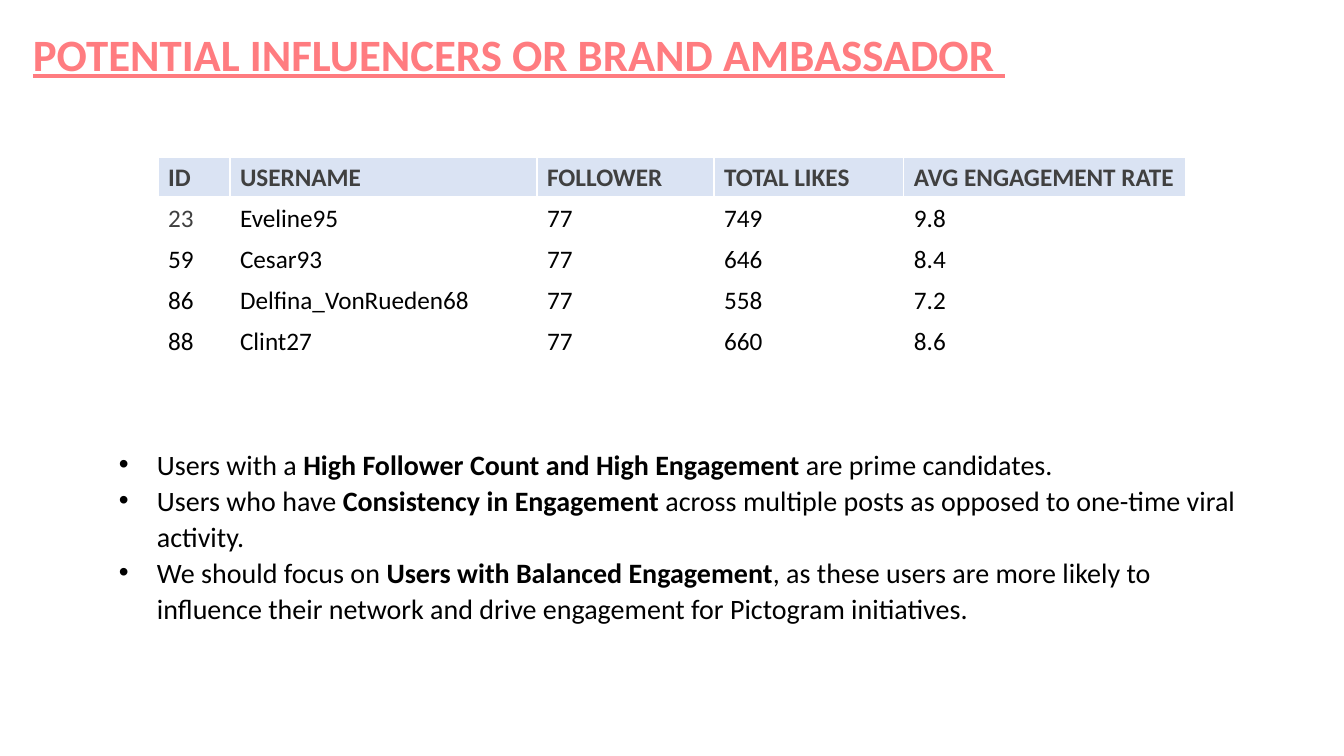
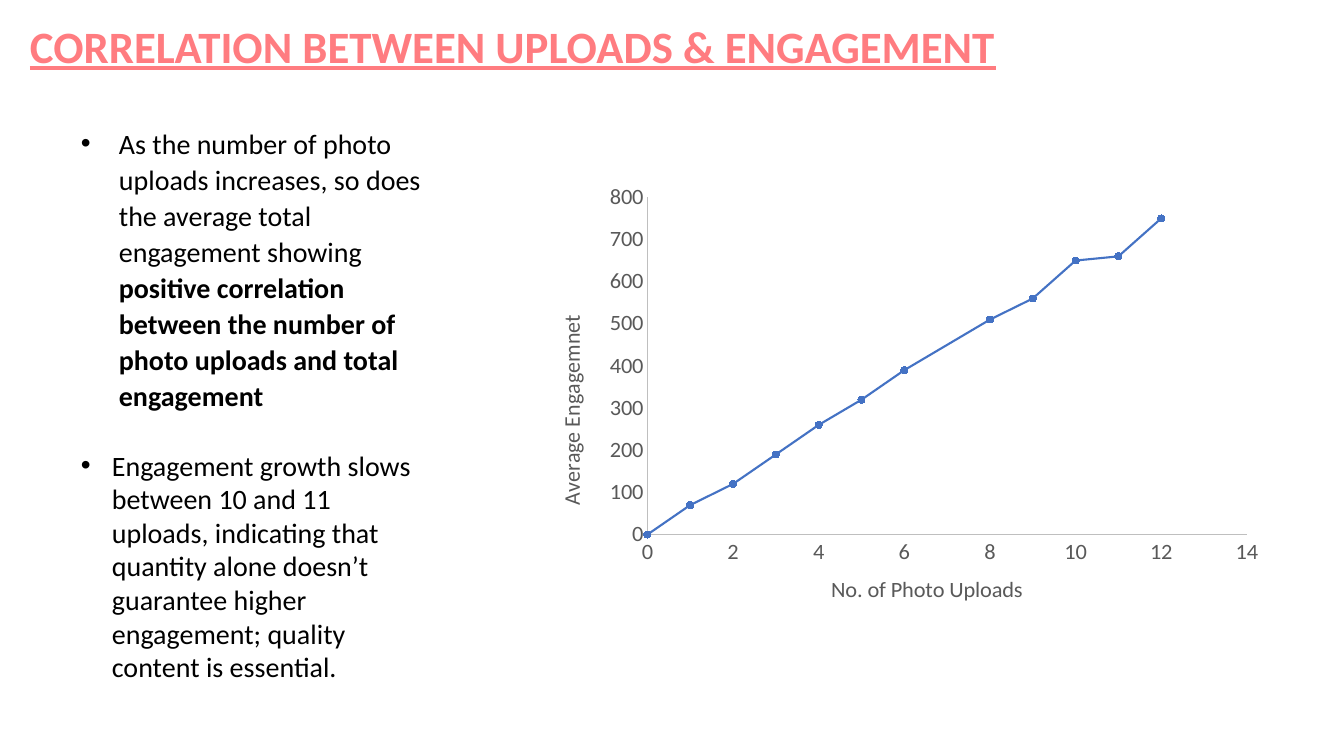
"""Build two slides on influencer candidates and on uploads against engagement."""
import dataclasses
import typing

import lxml.etree
import pptx
import pptx.chart.data
import pptx.dml.color
import pptx.enum.chart
import pptx.enum.dml
import pptx.enum.text
import pptx.oxml
import pptx.oxml.ns
import pptx.util

EMU_PER_PX = 914400 / 100.8
FONT = "Calibri"
COLORS = {
    "title": "FF7C80",
    "body": "000000",
    "header": "404040",
    "header_fill": "DAE3F3",
    "border": "FFFFFF",
    "axis_text": "595959",
    "axis_line": "BFBFBF",
    "series": "4472C4",
}
TITLE_FORMAT = {"size": 32, "color": "title", "bold": True, "underline": True}
BODY_FORMAT = {"size": 20, "color": "body"}
CELL_FORMAT = {"size": 18, "color": "body", "bold": False}
HEADER_FORMAT = {"size": 18, "color": "header", "bold": True}
AXIS_FORMAT = {"size": 16, "color": "axis_text", "bold": False}

CANDIDATE_COLUMNS = (72, 307, 177, 190, 282)
CANDIDATE_ROW_HEIGHT = 41
CANDIDATES = (
    ("ID", "USERNAME", "FOLLOWER", "TOTAL LIKES", "AVG ENGAGEMENT RATE"),
    ("23", "Eveline95", "77", "749", "9.8"),
    ("59", "Cesar93", "77", "646", "8.4"),
    ("86", "Delfina_VonRueden68", "77", "558", "7.2"),
    ("88", "Clint27", "77", "660", "8.6"),
)
ENGAGEMENT_BY_UPLOADS = {
    0: 0, 1: 70, 2: 120, 3: 190, 4: 260, 5: 320,
    6: 390, 8: 510, 9: 560, 10: 650, 11: 660, 12: 750,
}


@dataclasses.dataclass(frozen=True)
class Area:
    """Hold a rectangle in px."""
    left: int
    top: int
    width: int
    height: int

    def emu(self) -> tuple[int, ...]:
        """Return the rectangle in EMU."""
        return tuple(px(length) for length in dataclasses.astuple(self))


@dataclasses.dataclass(frozen=True)
class Span:
    """Hold a run of text."""
    text: str
    bold: bool = False


@dataclasses.dataclass(frozen=True)
class Bullet:
    """Hold a bulleted paragraph."""
    spans: tuple[Span, ...]
    indent: int = 38
    line_spacing: float = 1.07
    space_before: int = 0


@dataclasses.dataclass(frozen=True)
class AxisStyle:
    """Hold the title, its place in the chart and the scale of an axis."""
    title: str
    title_left: float
    title_top: float
    maximum: int
    step: int


CANDIDATE_NOTES = (
    Bullet((
        Span("Users with a "),
        Span("High Follower Count and High Engagement", True),
        Span(" are prime candidates."),
    )),
    Bullet((
        Span("Users who have "),
        Span("Consistency in Engagement ", True),
        Span("across multiple posts as opposed to one-time viral activity."),
    )),
    Bullet((
        Span("We should focus on "),
        Span("Users with Balanced Engagement", True),
        Span(", as these users are more likely to influence their network "
             "and drive engagement for Pictogram initiatives."),
    )),
)
CORRELATION_NOTES = (
    Bullet((
        Span("As the number of photo uploads increases, so does the average "
             "total engagement showing "),
        Span("positive correlation between the number of photo uploads and "
             "total engagement", True),
    )),
    Bullet(
        (Span("Engagement growth slows between 10 and 11 uploads, indicating "
              "that quantity alone doesn’t guarantee higher engagement; "
              "quality content is essential."),),
        indent=31, line_spacing=1.0, space_before=26,
    ),
)
UPLOADS_AXIS = AxisStyle("No. of Photo Uploads", 0.4, 0.93, 14, 2)
ENGAGEMENT_AXIS = AxisStyle("Average Engagemnet", 0.03, 0.34, 800, 100)


def px(length: int) -> int:
    """Turn px into EMU."""
    return round(length * EMU_PER_PX)


def rgb(color: str) -> pptx.dml.color.RGBColor:
    """Look up a named colour."""
    return pptx.dml.color.RGBColor.from_string(COLORS[color])


def style_font(font: typing.Any, values: dict[str, typing.Any]) -> None:
    """Apply format values to a font."""
    font.name = FONT
    for name, value in values.items():
        if name == "color":
            font.color.rgb = rgb(value)
        else:
            setattr(font, name, pptx.util.Pt(value) if name == "size" else value)


def add_span(para: typing.Any, text: str, values: dict[str, typing.Any]) -> None:
    """Add a formatted run to a paragraph."""
    span = para.add_run()
    span.text = text
    style_font(span.font, values)


def add_box(page: typing.Any, area: Area) -> typing.Any:
    """Add a wrapping text box and return its text frame."""
    frame = page.shapes.add_textbox(*area.emu()).text_frame
    frame.word_wrap = True
    frame.auto_size = pptx.enum.text.MSO_AUTO_SIZE.SHAPE_TO_FIT_TEXT
    return frame


def add_page(deck: typing.Any, title: str, left: int, top: int) -> typing.Any:
    """Add a blank slide with the shared title style."""
    page = deck.slides.add_slide(deck.slide_layouts[6])
    frame = add_box(page, Area(left, top, 1255, 65))
    add_span(frame.paragraphs[0], title, TITLE_FORMAT)
    return page


def add_bullets(page: typing.Any, area: Area, bullets: tuple[Bullet, ...]) -> None:
    """Add a bulleted list."""
    frame = add_box(page, area)
    for index, bullet in enumerate(bullets):
        para = frame.add_paragraph() if index else frame.paragraphs[0]
        para.line_spacing = bullet.line_spacing
        para.space_before = pptx.util.Pt(bullet.space_before)
        properties = para._p.get_or_add_pPr()
        properties.set("marL", str(px(bullet.indent)))
        properties.set("indent", str(-px(bullet.indent)))
        for tag, name, value in (("a:buFont", "typeface", "Arial"),
                                 ("a:buChar", "char", "•")):
            mark = lxml.etree.SubElement(properties, pptx.oxml.ns.qn(tag))
            mark.set(name, value)
        for span in bullet.spans:
            add_span(para, span.text, BODY_FORMAT | {"bold": span.bold})


def set_borders(cell: typing.Any, bottom: int) -> None:
    """Draw the four borders of a cell, given the bottom width in points."""
    properties = cell._tc.get_or_add_tcPr()
    widths = {"lnL": 1, "lnR": 1, "lnT": 1, "lnB": bottom}
    for index, (side, width) in enumerate(widths.items()):
        properties.insert(index, pptx.oxml.parse_xml(
            f'<a:{side} {pptx.oxml.ns.nsdecls("a")} w="{pptx.util.Pt(width)}">'
            f'<a:solidFill><a:srgbClr val="{COLORS["border"]}"/></a:solidFill>'
            f'</a:{side}>'))


def add_candidates(page: typing.Any, left: int, top: int) -> None:
    """Add the table of candidates."""
    area = Area(left, top, sum(CANDIDATE_COLUMNS),
                CANDIDATE_ROW_HEIGHT * len(CANDIDATES))
    table = page.shapes.add_table(
        len(CANDIDATES), len(CANDIDATE_COLUMNS), *area.emu()).table
    table.horz_banding = False
    for column, width in zip(table.columns, CANDIDATE_COLUMNS):
        column.width = px(width)
    for row_index, texts in enumerate(CANDIDATES):
        table.rows[row_index].height = px(CANDIDATE_ROW_HEIGHT)
        for column_index, text in enumerate(texts):
            cell = table.cell(row_index, column_index)
            values = CELL_FORMAT
            if row_index == 0:
                values = HEADER_FORMAT
                cell.fill.solid()
                cell.fill.fore_color.rgb = rgb("header_fill")
            else:
                cell.fill.background()
            if text == "23":
                values = CELL_FORMAT | {"color": "header"}
            add_span(cell.text_frame.paragraphs[0], text, values)
            set_borders(cell, bottom=1 if row_index else 3)


def set_layout(parent: typing.Any, index: int, **places: typing.Any) -> None:
    """Give a chart part a manual layout as its child at the index."""
    for layout in parent.findall(pptx.oxml.ns.qn("c:layout")):
        parent.remove(layout)
    values = "".join(f'<c:{name} val="{value}"/>' for name, value in places.items())
    parent.insert(index, pptx.oxml.parse_xml(
        f'<c:layout {pptx.oxml.ns.nsdecls("c")}><c:manualLayout>{values}'
        '</c:manualLayout></c:layout>'))


def style_axis(axis: typing.Any, style: AxisStyle) -> None:
    """Set the title, scale and line of an axis."""
    no_tick = pptx.enum.chart.XL_TICK_MARK.NONE
    values = {
        "has_major_gridlines": False, "major_tick_mark": no_tick,
        "minor_tick_mark": no_tick, "minimum_scale": 0,
        "maximum_scale": style.maximum, "major_unit": style.step,
    }
    for name, value in values.items():
        setattr(axis, name, value)
    style_font(axis.tick_labels.font, AXIS_FORMAT)
    axis.format.line.color.rgb = rgb("axis_line")
    axis.format.line.width = pptx.util.Pt(0.75)
    title = axis.axis_title
    add_span(title.text_frame.paragraphs[0], style.title, AXIS_FORMAT)
    set_layout(title._element, 1, xMode="edge", yMode="edge",
               x=style.title_left, y=style.title_top)


def add_correlation(page: typing.Any, area: Area) -> None:
    """Add the chart of engagement against uploads."""
    data = pptx.chart.data.XyChartData()
    points = data.add_series("Series 1")
    for uploads, engagement in ENGAGEMENT_BY_UPLOADS.items():
        points.add_data_point(uploads, engagement)
    chart = page.shapes.add_chart(
        pptx.enum.chart.XL_CHART_TYPE.XY_SCATTER_LINES, *area.emu(), data).chart
    chart.has_legend = False
    chart.has_title = False
    style_font(chart.font, {"size": 16, "color": "body"})
    style_axis(chart.category_axis, UPLOADS_AXIS)
    style_axis(chart.value_axis, ENGAGEMENT_AXIS)
    plot = chart.plots[0]
    plot.vary_by_categories = False
    set_layout(plot._element.getparent(), 0, layoutTarget="inner", xMode="edge",
               yMode="edge", x=0.158, y=0.068, w=0.807, h=0.78)
    series = plot.series[0]
    series.smooth = False
    series.format.line.color.rgb = rgb("series")
    series.format.line.width = pptx.util.Pt(1.5)
    marker = series.marker
    marker.style = pptx.enum.chart.XL_MARKER_STYLE.CIRCLE
    marker.size = 5
    marker.format.fill.solid()
    marker.format.fill.fore_color.rgb = rgb("series")
    marker.format.line.color.rgb = rgb("series")


def main() -> None:
    """Build and save the deck."""
    deck = pptx.Presentation()
    deck.slide_width, deck.slide_height = px(1344), px(756)

    page = add_page(deck, "POTENTIAL INFLUENCERS OR BRAND AMBASSADOR ", 23, 22)
    add_bullets(page, Area(109, 440, 1151, 191), CANDIDATE_NOTES)
    add_candidates(page, 158, 157)

    page = add_page(deck, "CORRELATION BETWEEN UPLOADS & ENGAGEMENT", 20, 14)
    add_bullets(page, Area(71, 119, 369, 575), CORRELATION_NOTES)
    add_correlation(page, Area(530, 168, 743, 442))

    deck.save("out.pptx")


if __name__ == "__main__":
    main()
